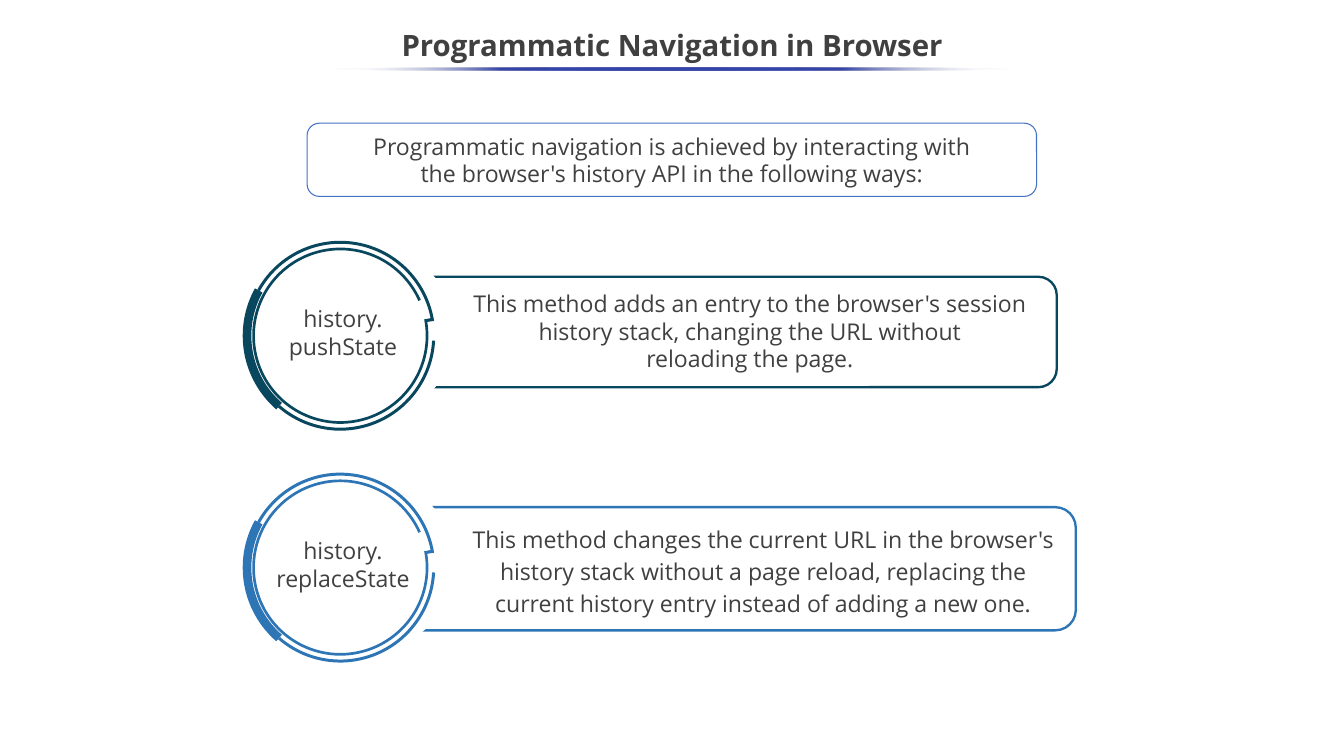
from collections import namedtuple
from math import cos, radians, sin, tan

from lxml import etree
from pptx import Presentation
from pptx.dml.color import RGBColor
from pptx.enum.shapes import MSO_SHAPE as Shape
from pptx.enum.text import MSO_ANCHOR as Anchor, PP_ALIGN as Align
from pptx.oxml.ns import qn
from pptx.util import Cm, Pt

COLORS = {"text": "404040", "white": "FFFFFF", "rule": "3645A9",
          "intro": "4472C4", "push": "09475E", "replace": "2E75B6"}
BODY = {"name": "Open Sans", "size": Pt(22), "bold": False}
TITLE = {"name": "Open Sans", "size": Pt(28), "bold": True}

# Arcs of the medallion: radius, start and end in degrees clockwise from the right
DOUBLE_RING = [(2.96, 336, -9), (3.19, -9, -151), (3.09, -151, -11), (2.87, -11, 336)]
BAND = [(3.28, 131, 209), (2.99, 209, 131)]
LOWER_RING = [(3.19, 131, 3), (3.09, 3, 131)]

Box = namedtuple("Box", "left top width height")


def rgb(name):
    return RGBColor.from_string(COLORS[name])


def lengths(box):
    return [Cm(value) for value in box]


def inside(outer, inner):
    """Turn a box measured from the corner of another into a slide box."""
    return Box(outer.left + inner.left, outer.top + inner.top,
               inner.width, inner.height)


def write(shape, lines, font=BODY, anchor=Anchor.MIDDLE, spacing=None):
    frame = shape.text_frame
    frame.word_wrap = True
    frame.vertical_anchor = anchor
    for number, line in enumerate(lines):
        paragraph = frame.paragraphs[0] if number == 0 else frame.add_paragraph()
        paragraph.alignment = Align.CENTER
        if spacing:
            paragraph.line_spacing = spacing
        run = paragraph.add_run()
        run.text = line
        for key, value in font.items():
            setattr(run.font, key, value)
        run.font.color.rgb = rgb("text")


def paint(shape, fill, line=None, width=1):
    shape.shadow.inherit = False
    shape.fill.solid()
    shape.fill.fore_color.rgb = rgb(fill)
    if line:
        shape.line.color.rgb = rgb(line)
        shape.line.width = Pt(width)
    else:
        shape.line.fill.background()


def add_panel(slide, box, kind, line=None, width=1):
    panel = slide.shapes.add_shape(kind, *lengths(box))
    paint(panel, "white", line, width)
    return panel


def fade_ends(shape, color):
    """Fill a shape with a colour that fades to clear at both ends."""
    shape.fill.gradient()
    shape.fill.gradient_angle = 0
    stops = shape.fill._fill._gradFill.find(qn("a:gsLst"))
    for stop in list(stops):
        stops.remove(stop)
    for percent, name in ((0, "white"), (25, color), (50, color),
                          (75, color), (100, "white")):
        stop = etree.SubElement(stops, qn("a:gs"), pos=str(percent * 1000))
        tint = etree.SubElement(stop, qn("a:srgbClr"), val=COLORS[name])
        if name == "white":
            etree.SubElement(tint, qn("a:alpha"), val="0")


def title_bar(slide, box, text):
    heading = slide.shapes.add_textbox(*lengths(box))
    write(heading, [text], TITLE, spacing=0.9)
    rule_box = inside(box, Box(11.15, 1.62, 22.83, 0.1))
    rule = slide.shapes.add_shape(Shape.OVAL, *lengths(rule_box))
    paint(rule, "rule")
    fade_ends(rule, "rule")


def arc_segments(center, radius, start, end, step=20):
    """Arc start as a one-point segment, then curves of two handles and an end."""
    def at(angle, pull=0):
        return (Cm(center[0] + radius * (cos(angle) - pull * sin(angle))),
                Cm(center[1] + radius * (sin(angle) + pull * cos(angle))))

    count = round(abs(end - start) / step)
    turn = radians(end - start) / count
    pull = 4 / 3 * tan(turn / 4)
    angles = [radians(start) + turn * i for i in range(count + 1)]
    return [[at(angles[0])]] + [[at(a, pull), at(b, -pull), at(b)]
                                for a, b in zip(angles, angles[1:])]


def add_outline(slide, center, arcs, color):
    """Closed shape of arcs joined by straight edges."""
    segments = [part for arc in arcs for part in arc_segments(center, *arc)]
    builder = slide.shapes.build_freeform(*segments[0][0])
    builder.add_line_segments([part[-1] for part in segments[1:]], close=True)
    outline = builder.convert_to_shape()
    edges = list(outline._element.iter(qn("a:lnTo")))
    for edge, part in zip(edges, segments[1:]):
        if len(part) == 3:
            edge.tag = qn("a:cubicBezTo")
            for place, (x, y) in enumerate(part[:2]):
                handle = etree.Element(qn("a:pt"), x=str(x - outline.left),
                                       y=str(y - outline.top))
                edge.insert(place, handle)
    paint(outline, color)


def medallion(slide, box, lines, color):
    """Circle label with a broken double ring and a thick band on its left."""
    write(add_panel(slide, box, Shape.OVAL), lines)
    center = (box.left + box.width / 2 - 0.09, box.top + box.height / 2 + 0.11)
    for arcs in (DOUBLE_RING, BAND, LOWER_RING):
        add_outline(slide, center, arcs, color)


def method_card(slide, box, color, label, description, panel, text,
                spacing=None, side_inset=0.25):
    """Medallion and panel; panel and text boxes are measured from the card."""
    add_panel(slide, inside(box, panel), Shape.ROUNDED_RECTANGLE, color, 2.25)
    note = slide.shapes.add_textbox(*lengths(inside(box, text)))
    note.text_frame.margin_left = note.text_frame.margin_right = Cm(side_inset)
    write(note, description, anchor=Anchor.TOP, spacing=spacing)
    medallion(slide, Box(box.left, box.top, 7.59, box.height), label, color)


def main():
    deck = Presentation()
    deck.slide_width, deck.slide_height = Cm(45.16), Cm(25.4)
    slide = deck.slides.add_slide(deck.slide_layouts[6])

    title_bar(slide, Box(0, 0.64, 45.16, 1.9), "Programmatic Navigation in Browser")
    intro = add_panel(slide, Box(10.32, 4.14, 24.51, 2.46),
                      Shape.ROUNDED_RECTANGLE, "intro")
    write(intro, ["Programmatic navigation is achieved by interacting with",
                  "the browser's history API in the following ways:"])

    cards = [
        dict(color="push", label=["history. pushState"],
             description=["This method adds an entry to the browser's session "
                          "history stack, changing the URL without",
                          "reloading the page."],
             panel=Box(5.89, 1.32, 21.89, 3.71), text=Box(7.24, 1.62, 20.45, 3.07)),
        dict(color="replace", label=["history.", "replaceState"],
             description=["This method changes the current URL in the browser's "
                          "history stack without a page reload, replacing the",
                          "current history entry instead of adding a new one."],
             panel=Box(3.71, 1.27, 24.71, 4.14), text=Box(6.55, 1.63, 22.73, 3.43),
             spacing=1.15, side_inset=1),
    ]
    for row, card in enumerate(cards):
        method_card(slide, Box(7.73, 7.98 + row * 7.79, 28.42, 6.38), **card)

    deck.save("out.pptx")


if __name__ == "__main__":
    main()
